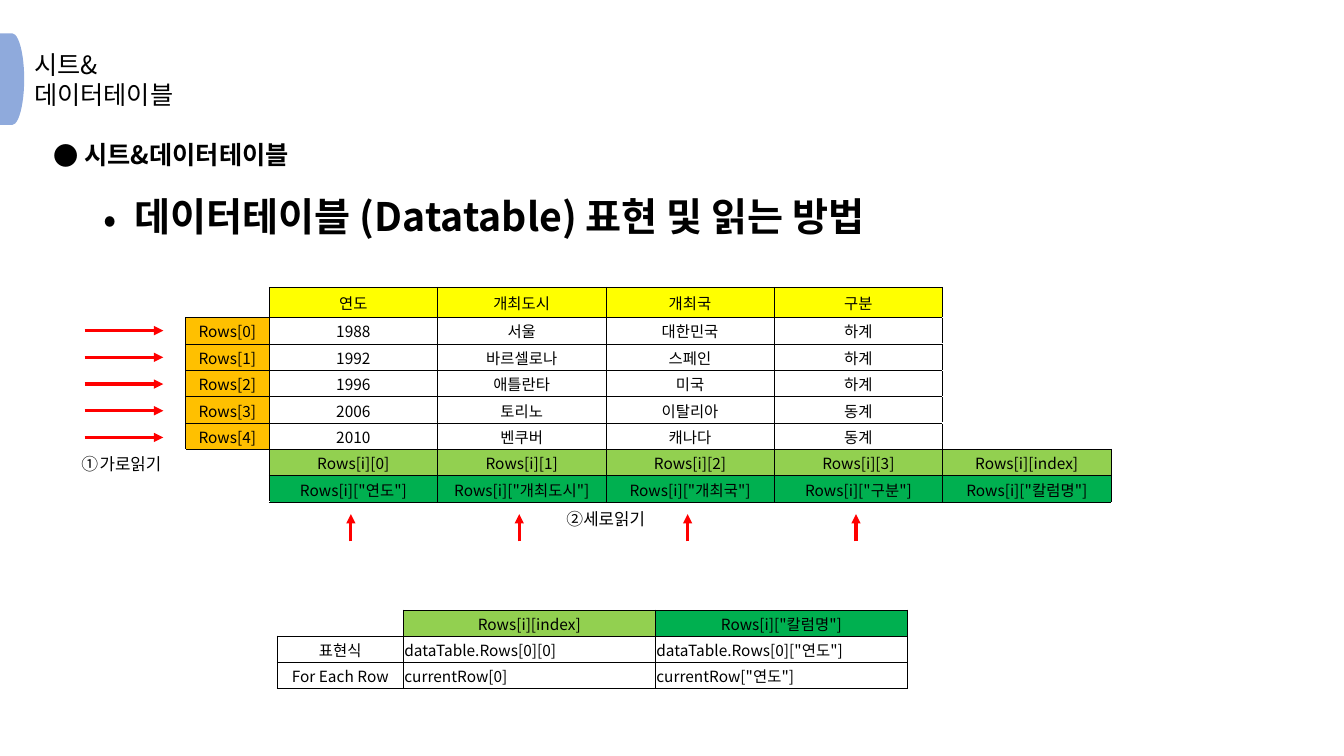
from dataclasses import dataclass
from typing import Any

from lxml.etree import SubElement
from pptx import Presentation
from pptx.dml.color import RGBColor
from pptx.enum.shapes import MSO_CONNECTOR, MSO_SHAPE
from pptx.enum.text import MSO_ANCHOR, PP_ALIGN
from pptx.oxml.ns import qn
from pptx.util import Inches, Pt

FONT = "Noto Sans CJK KR"
BLACK, RED, BLUE = "000000", "FF0000", "8FAADC"
YELLOW, ORANGE, LIME, GREEN = "FFFF00", "FFC000", "92D050", "00B050"


@dataclass
class Line:
    text: str
    size: float
    bold: bool = False
    level: int = 0
    spacing: float = 1.0
    margin: float = 0
    indent: float = 0
    bullet: str = ""
    numbering: str = ""


@dataclass
class TextBlock:
    left: float
    top: float
    width: float
    height: float
    lines: list[Line]
    wrap: bool = False
    anchor: Any = MSO_ANCHOR.TOP
    inset_top: float = 0.05


@dataclass
class Cell:
    text: str = ""
    fill: str = ""
    align: Any = PP_ALIGN.CENTER


@dataclass
class Grid:
    left: float
    top: float
    columns: list[float]
    rows: list[float]
    cells: list[list[Cell]]


@dataclass
class Arrow:
    x1: float
    y1: float
    x2: float
    y2: float


def rgb(colour: str) -> RGBColor:
    return RGBColor.from_string(colour)


def apply(target: Any, values: dict[str, Any]) -> None:
    for name, value in values.items():
        setattr(target, name, value)


def write(paragraph: Any, text: str, size: float, bold: bool = False) -> None:
    run = paragraph.add_run()
    run.text = text
    apply(run.font, {"name": FONT, "size": Pt(size), "bold": bold})
    run.font.color.rgb = rgb(BLACK)
    SubElement(run.font._element, qn("a:ea"), typeface=FONT)


def draw_text(block: TextBlock) -> None:
    box = slide.shapes.add_textbox(Inches(block.left), Inches(block.top),
                                   Inches(block.width), Inches(block.height))
    frame = box.text_frame
    apply(frame, {"word_wrap": block.wrap, "vertical_anchor": block.anchor,
                  "margin_top": Inches(block.inset_top)})
    for number, line in enumerate(block.lines):
        paragraph = frame.add_paragraph() if number else frame.paragraphs[0]
        apply(paragraph, {"level": line.level, "line_spacing": line.spacing,
                          "alignment": PP_ALIGN.LEFT})
        properties = paragraph._p.get_or_add_pPr()
        properties.set("marL", str(Inches(line.margin)))
        properties.set("indent", str(Inches(line.indent)))
        if line.bullet:
            SubElement(properties, qn("a:buFont"), typeface=FONT)
            SubElement(properties, qn("a:buChar"), char=line.bullet)
        elif line.numbering:
            SubElement(properties, qn("a:buFont"), typeface=FONT)
            SubElement(properties, qn("a:buAutoNum"), type=line.numbering)
        write(paragraph, line.text, line.size, line.bold)


def draw_border(properties: Any, side: str) -> None:
    border = SubElement(properties, qn(f"a:ln{side}"), w=str(Pt(0.5)))
    fill = SubElement(border, qn("a:solidFill"))
    SubElement(fill, qn("a:srgbClr"), val=BLACK)


def draw_table(grid: Grid) -> None:
    table = slide.shapes.add_table(
        len(grid.rows), len(grid.columns), Inches(grid.left), Inches(grid.top),
        Inches(sum(grid.columns)), Inches(sum(grid.rows))).table
    apply(table, {"first_row": False, "horz_banding": False})
    for column, width in zip(table.columns, grid.columns):
        column.width = Inches(width)
    for row, height in zip(table.rows, grid.rows):
        row.height = Inches(height)

    def filled(r: int, c: int) -> bool:
        return (0 <= r < len(grid.rows) and 0 <= c < len(grid.columns)
                and bool(grid.cells[r][c].text))

    for r, row in enumerate(grid.cells):
        for c, content in enumerate(row):
            cell = table.cell(r, c)
            apply(cell, {"margin_left": Inches(0.01), "margin_right": Inches(0.01),
                         "margin_top": Inches(0.01), "margin_bottom": 0,
                         "vertical_anchor": MSO_ANCHOR.MIDDLE})
            # A border is drawn wherever either neighbour holds text
            neighbours = {"L": (r, c - 1), "R": (r, c + 1), "T": (r - 1, c), "B": (r + 1, c)}
            for side, place in neighbours.items():
                if content.text or filled(*place):
                    draw_border(cell._tc.get_or_add_tcPr(), side)
            if content.fill:
                cell.fill.solid()
                cell.fill.fore_color.rgb = rgb(content.fill)
            else:
                cell.fill.background()
            paragraph = cell.text_frame.paragraphs[0]
            paragraph.alignment = content.align
            if content.text:
                write(paragraph, content.text, 11)
            else:
                SubElement(paragraph._p, qn("a:endParaRPr"), sz="1100")


def draw_arrow(arrow: Arrow) -> None:
    connector = slide.shapes.add_connector(
        MSO_CONNECTOR.STRAIGHT, Inches(arrow.x1), Inches(arrow.y1),
        Inches(arrow.x2), Inches(arrow.y2))
    connector.line.color.rgb = rgb(RED)
    connector.line.width = Pt(2.25)
    SubElement(connector.line._get_or_add_ln(), qn("a:tailEnd"), type="triangle")
    SubElement(connector._element.spPr, qn("a:effectLst"))


presentation = Presentation()
apply(presentation, {"slide_width": Inches(13.33), "slide_height": Inches(7.5)})
slide = presentation.slides.add_slide(presentation.slide_layouts[6])

# Title with its side tab
tab = slide.shapes.add_shape(MSO_SHAPE.FLOWCHART_DELAY, 0, Inches(0.33), Inches(0.24), Inches(0.91))
tab.shadow.inherit = False
tab.fill.solid()
tab.fill.fore_color.rgb = rgb(BLUE)
tab.line.fill.background()
draw_text(TextBlock(0.24, 0.43, 1.62, 0.71, [Line("시트&", 18), Line("데이터테이블", 18)],
                    anchor=MSO_ANCHOR.MIDDLE))

# Headings
draw_text(TextBlock(0.43, 1.18, 8.43, 1.18, [
    Line("시트&데이터테이블", 18, True, 0, 1.5, 0.31, -0.31, "●"),
    Line("데이터테이블 (Datatable) 표현 및 읽는 방법", 28, True, 1, 1.5, 0.81, -0.31, "•"),
], wrap=True))

# Table of games with row and column expressions
fields = ["연도", "개최도시", "개최국", "구분"]
games = [("1988", "서울", "대한민국", "하계"), ("1992", "바르셀로나", "스페인", "하계"),
         ("1996", "애틀란타", "미국", "하계"), ("2006", "토리노", "이탈리아", "동계"),
         ("2010", "벤쿠버", "캐나다", "동계")]
game_cells = [[Cell(), *(Cell(field, YELLOW) for field in fields), Cell()]]
game_cells += [[Cell(f"Rows[{i}]", ORANGE), *map(Cell, game), Cell()] for i, game in enumerate(games)]
game_cells += [
    [Cell(), *(Cell(f"Rows[i][{key}]", LIME) for key in [0, 1, 2, 3, "index"])],
    [Cell(), *(Cell(f'Rows[i]["{key}"]', GREEN) for key in [*fields, "칼럼명"])],
]
draw_table(Grid(1.84, 2.85, [0.83] + [1.67] * 5, [0.3] + [1.83 / 7] * 7, game_cells))

# Table of access expressions
expressions = [("표현식", "dataTable.Rows[0][0]", 'dataTable.Rows[0]["연도"]'),
               ("For Each Row", "currentRow[0]", 'currentRow["연도"]')]
expression_cells = [[Cell(), Cell("Rows[i][index]", LIME), Cell('Rows[i]["칼럼명"]', GREEN)]]
expression_cells += [[Cell(label), *(Cell(code, align=PP_ALIGN.LEFT) for code in codes)]
                     for label, *codes in expressions]
draw_table(Grid(2.75, 6.05, [1.25, 2.5, 2.5], [0.26] * 3, expression_cells))

# Reading directions
for i in range(len(games)):
    draw_arrow(Arrow(0.84, 3.28 + 0.265 * i, 1.62, 3.28 + 0.265 * i))
for i in range(len(fields)):
    draw_arrow(Arrow(3.48 + 1.67 * i, 5.37, 3.48 + 1.67 * i, 5.1))
draw_text(TextBlock(0.51, 4.29, 1.21, 0.5, inset_top=0.21, lines=[
    Line("가로읽기", 12, margin=0.38, indent=-0.18, numbering="circleNumDbPlain")]))
draw_text(TextBlock(5.32, 4.84, 1.19, 0.5, [Line("②세로읽기", 12, margin=0.2)], inset_top=0.21))

presentation.save("out.pptx")
